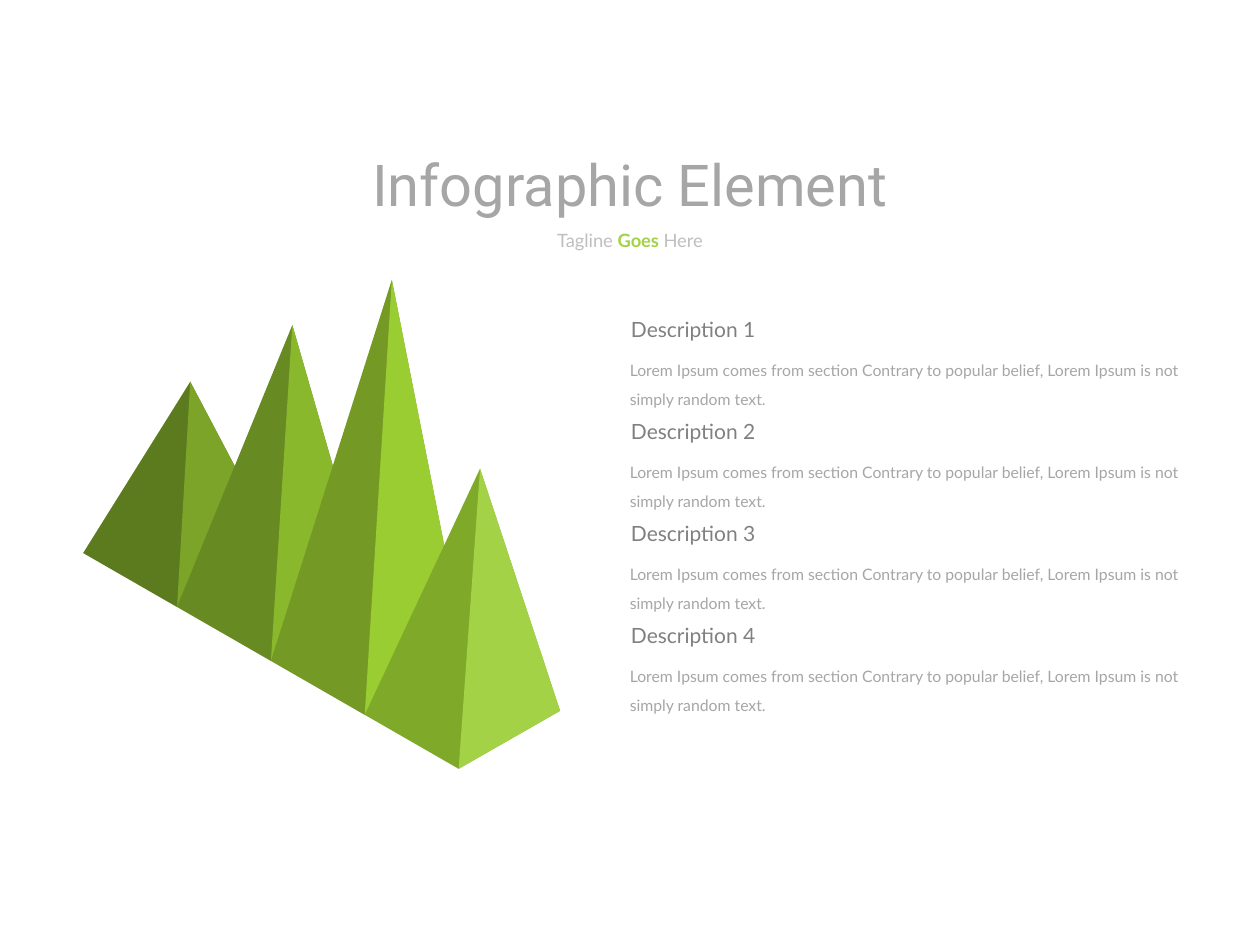
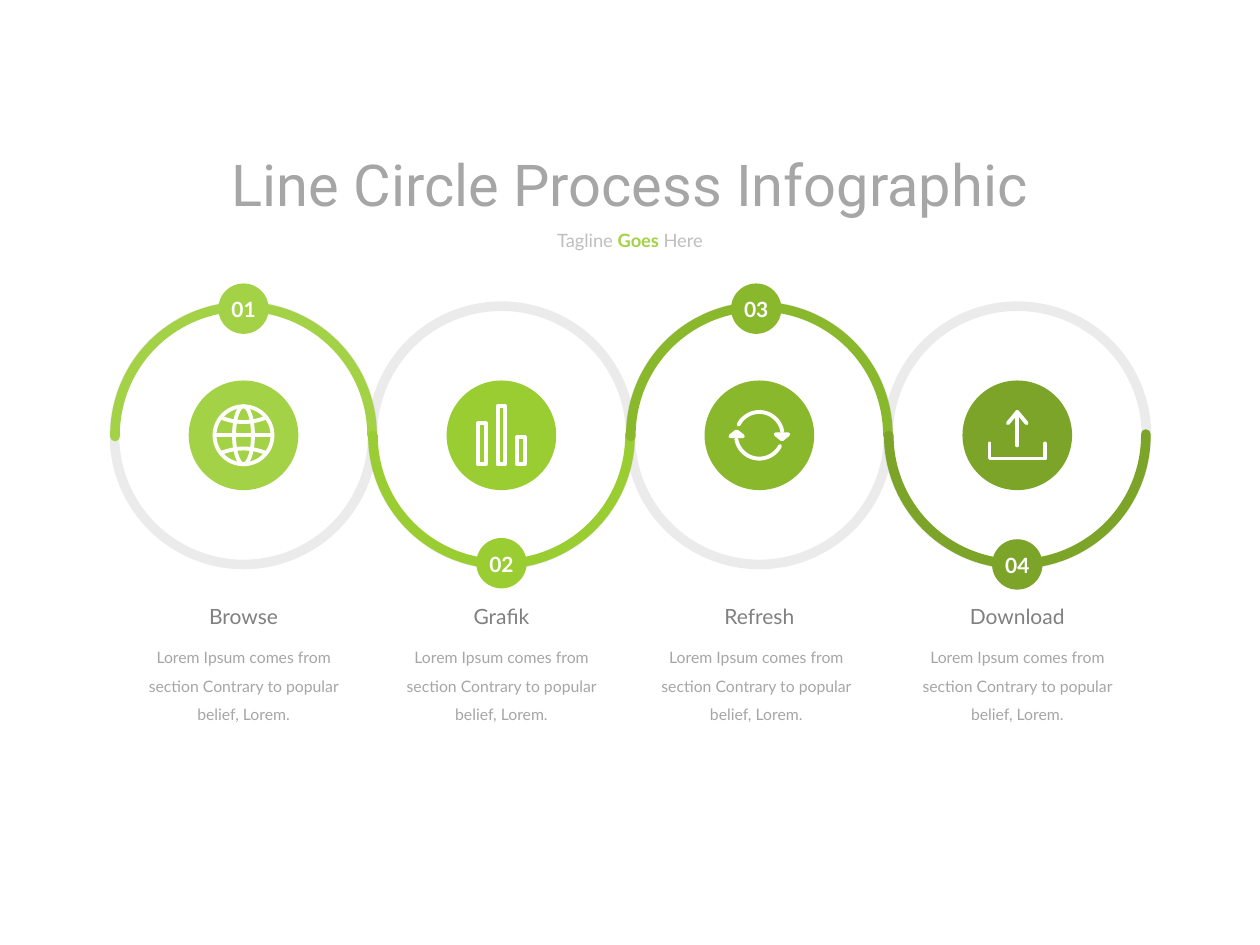
"""Builds two green infographic slides: a row of pyramids and a circle process."""
from collections import namedtuple
from math import cos, radians, sin

from lxml import etree
from pptx import Presentation
from pptx import util as u
from pptx.dml.color import RGBColor
from pptx.enum import shapes, text
from pptx.oxml import ns

Theme = namedtuple("Theme", "head body title tag label copy ring stroke "
                            "gray pale dark white lime greens shades lights")
T = Theme(
    head="Roboto", body="Lato",
    title=33, tag=10.5, label=12, copy=9, ring=5.5, stroke=2.2,
    gray="A6A6A6", pale="BFBFBF", dark="808080", white="FFFFFF", lime="A4D246",
    greens=("A4D246", "9ACD32", "8AB82D", "7BA428"),
    shades=("5C7B1E", "678A22", "749A25", "7FA929"),
    lights=("7BA428", "8AB82D", "9ACD32", "A4D246"),
)
COLS, ROWS = 100, 75
MID, LEFT = text.PP_ALIGN.CENTER, text.PP_ALIGN.LEFT
KIND = shapes.MSO_SHAPE

deck = Presentation()
deck.slide_width, deck.slide_height = u.Inches(10), u.Inches(7.5)
col, row = deck.slide_width / COLS, deck.slide_height / ROWS


def write(slide, at, runs, size, color, align=LEFT, face=T.body, wrap=False, bold=False):
    """Adds one paragraph; a run is its words and, if accented, its colour."""
    x, y, w, h = at
    box = slide.shapes.add_textbox(int(x * col), int(y * row), int(w * col), int(h * row))
    frame = box.text_frame
    frame.word_wrap = wrap
    frame.auto_size = text.MSO_AUTO_SIZE.SHAPE_TO_FIT_TEXT
    para = frame.paragraphs[0]
    para.alignment = align
    if wrap:
        para.line_spacing = 1.5
    font = para.font
    font.name, font.size, font.bold = face, u.Pt(size), bold
    font.color.rgb = RGBColor.from_string(color)
    for words, accent in runs:
        run = para.add_run()
        run.text = words
        if accent:
            run.font.bold = True
            run.font.color.rgb = RGBColor.from_string(accent)


def draw(slide, parts, fill=None, line=None):
    """Adds one outline made of several (points, closed) parts."""
    pen = None
    for points, closed in parts:
        spots = [(round(x * col), round(y * row)) for x, y in points]
        if pen:
            pen.move_to(*spots[0])
        else:
            pen = slide.shapes.build_freeform(*spots[0])
        pen.add_line_segments(spots[1:], close=closed)
    shape = pen.convert_to_shape()
    shape.shadow.inherit = False
    if fill:
        shape.fill.solid()
        shape.fill.fore_color.rgb = RGBColor.from_string(fill)
        shape.line.fill.background()
    else:
        shape.fill.background()
        shape.line.color.rgb = RGBColor.from_string(line)
        shape.line.width = u.Pt(T.stroke)
        edge = shape.element.spPr.find(ns.qn("a:ln"))
        edge.set("cap", "rnd")
        etree.SubElement(edge, ns.qn("a:round"))


pages = []
for title in ("Infographic Element", "Line Circle Process Infographic"):
    page = deck.slides.add_slide(deck.slide_layouts[6])
    write(page, (15, 11.3, 70, 6.6), [(title, None)], T.title, T.gray, MID, T.head)
    write(page, (43, 17.7, 14, 2.8),
          [("Tagline ", None), ("Goes ", T.lime), ("Here", None)], T.tag, T.pale, MID)
    pages.append(page)
peaks, process = pages

tips = ((15.1, 30.3), (23.2, 25.8), (31.1, 22.2), (38.1, 37.2))
for i, tip in enumerate(tips):
    west = (6.6 + 7.45 * i, 43.9 + 4.28 * i)
    south = (west[0] + 7.45, west[1] + 4.28)
    east = (south[0] + 8.05, south[1] - 4.6)
    draw(peaks, [((west, tip, east, south), True)], T.shades[i])
    draw(peaks, [((tip, south, east), True)], T.lights[i])

blurb = "Lorem Ipsum comes from section Contrary to popular belief, Lorem"
for i in range(4):
    top = 24.6 + 8.1 * i
    write(peaks, (49, top + 2.8, 46.4, 5.6),
          [(blurb + " Ipsum is not simply random text.", None)], T.copy, T.gray, wrap=True)
    write(peaks, (49.1, top, 12, 3), [(f"Description {i + 1}", None)], T.label, T.dark)

step, first, axis = 20.47, 19.33, 34.55
mids = [first + step * i for i in range(4)]
tags = [(mids[0], 24.5), (mids[1], 44.7), (mids[2] - 0.25, 24.5), (mids[3], 44.8)]
for kind, size in (("ring", 20.5), ("arc", 20.4), ("disc", 8.7), ("badge", 4)):
    for i, mid in enumerate(mids):
        x, y = tags[i] if kind == "badge" else (mid, axis)
        shape = process.shapes.add_shape(
            KIND.ARC if kind == "arc" else KIND.OVAL,
            int((x - size / 2) * col), int((y - size / 2) * row),
            int(size * col), int(size * row))
        shape.shadow.inherit = False
        if kind in ("disc", "badge"):
            shape.fill.solid()
            shape.fill.fore_color.rgb = RGBColor.from_string(T.greens[i])
            shape.line.fill.background()
            continue
        shape.fill.background()
        shape.line.width = u.Pt(T.ring)
        shape.line.color.rgb = RGBColor.from_string(T.pale if kind == "ring" else T.greens[i])
        edge = shape.element.spPr.find(ns.qn("a:ln"))
        if kind == "ring":
            tint = edge.find(".//" + ns.qn("a:srgbClr"))
            etree.SubElement(tint, ns.qn("a:alpha")).set("val", "30000")
        else:
            edge.set("cap", "rnd")
            shape.adjustments[0], shape.adjustments[1] = 107.66, 0
            shape.rotation = 180 * (i % 2)

globe = [([(rx * cos(radians(a)), 2.3 * sin(radians(a))) for a in range(0, 360, 6)], True)
         for rx in (2.3, 0.75)]
globe.append((((-2.3, 0), (2.3, 0)), False))
for side in (1, -1):
    globe.append(([(x / 10, side * (1.05 + x * x / 900)) for x in range(-18, 19, 3)], False))

bars = [(((x - 0.3, top), (x + 0.3, top), (x + 0.3, 2.3), (x - 0.3, 2.3)), True)
        for x, top in ((-1.55, -0.95), (0, -2.3), (1.55, 0.15))]

cycle = []
for side in (1, -1):
    cycle.append(([(side * 1.85 * cos(radians(a)), side * 1.85 * sin(radians(a)))
                   for a in range(207, 352, 6)], False))
    cycle.append(([(side * x, side * y)
                   for x, y in ((1.3, -0.08), (2.3, -0.08), (1.8, 0.32))], True))

tray = [
    (((-2.2, 0.65), (-2.2, 1.85), (2.2, 1.85), (2.2, 0.65)), False),
    (((0, 0.8), (0, -1.85)), False),
    (((-0.75, -0.95), (0, -1.85), (0.75, -0.95)), False),
]

for mid, icon in zip(mids, (globe, bars, cycle, tray)):
    draw(process, [([(mid + x, axis + y) for x, y in points], closed)
                   for points, closed in icon], line=T.white)

for i, name in enumerate(("Browse", "Grafik", "Refresh", "Download")):
    x, y = tags[i]
    write(process, (x - 8.7, 50.2, 17.4, 7.8), [(blurb + ".", None)],
          T.copy, T.gray, MID, wrap=True)
    write(process, (mids[i] - 5, 47.4, 10, 3), [(name, None)], T.label, T.dark, MID)
    write(process, (x - 2, y - 1.45, 4, 3), [(f"0{i + 1}", None)],
          T.label, T.white, MID, bold=True)

deck.save("out.pptx")
